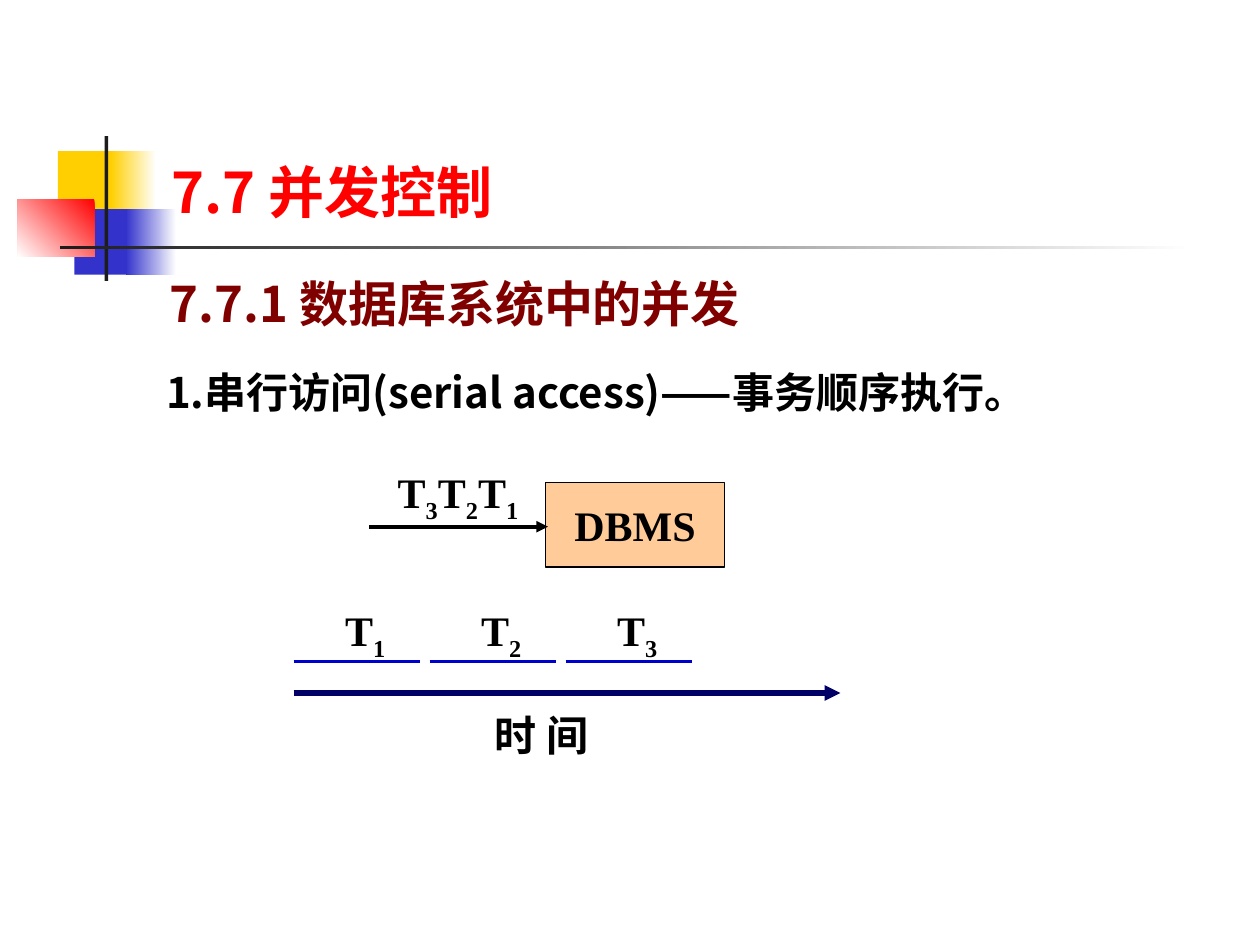
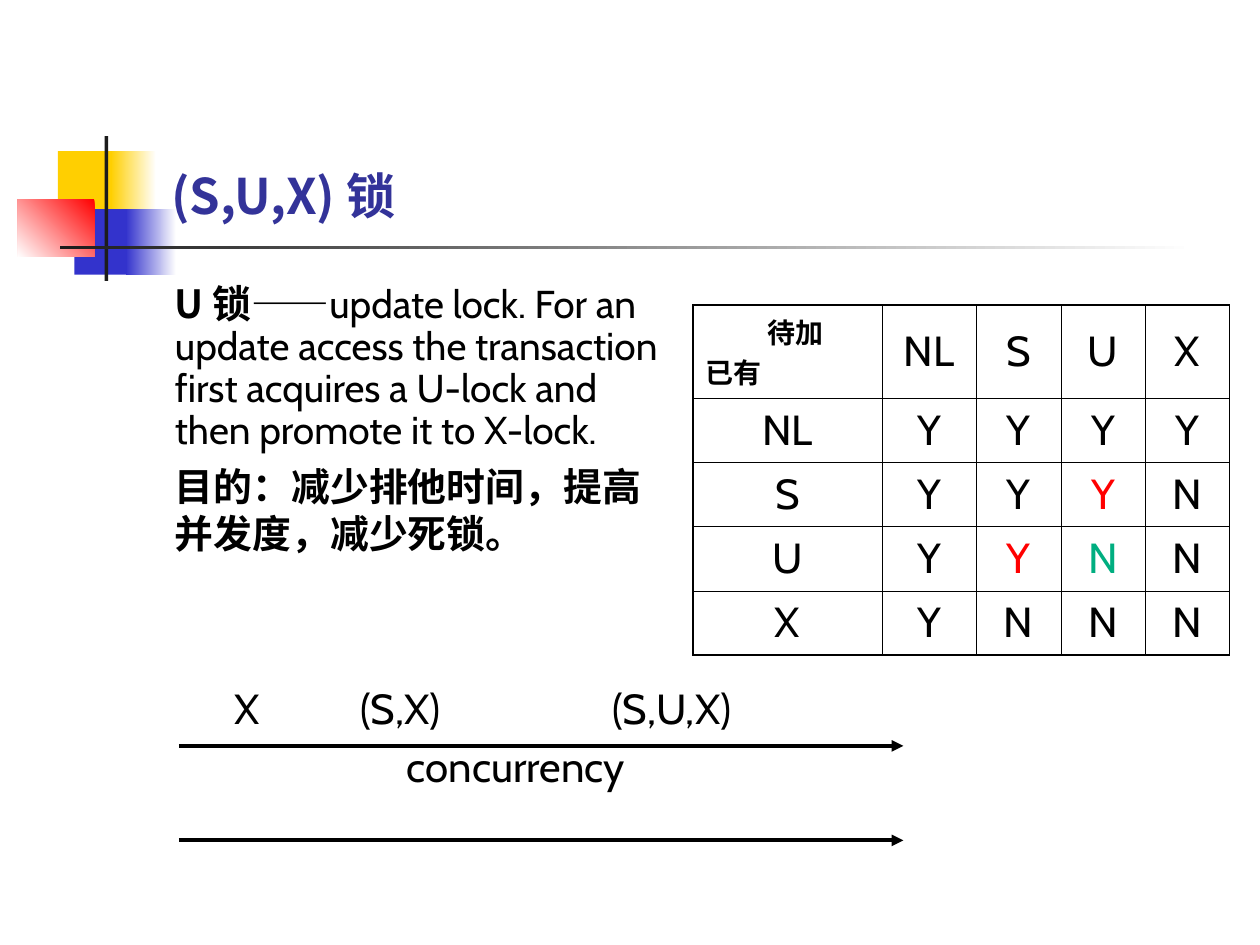
import pptx
import pptx.util
import pptx.dml.color
import pptx.enum.shapes
import pptx.enum.text
import pptx.oxml.ns
from lxml import etree

Inches = pptx.util.Inches
Pt = pptx.util.Pt
ALIGN = pptx.enum.text.PP_ALIGN
ANCHOR = pptx.enum.text.MSO_ANCHOR
qn = pptx.oxml.ns.qn

COLORS = {
    "white": "FFFFFF", "black": "000000", "ink": "1C1C1C",
    "red": "FF0000", "maroon": "800000", "indigo": "333399",
    "yellow": "FFCF01", "blue": "3333CC", "peach": "FFCC99",
    "navy": "000066", "bar": "0000CC", "green": "00AE80",
}
HAN, SERIF, SANS = "Noto Sans CJK SC", "Times New Roman", "Cabin"


def color(name):
    return pptx.dml.color.RGBColor.from_string(COLORS[name])


def style(run, face, size, tint="black", bold=False, sub=False):
    font = run.font
    font.name, font.size, font.bold = face, Pt(size), bold
    font.color.rgb = color(tint)
    props = run._r.get_or_add_rPr()
    etree.SubElement(props, qn("a:ea")).set("typeface", HAN)
    if sub:
        props.set("baseline", "-25000")


def write(par, text, *look, **more):
    par.text = text
    for run in par.runs:
        style(run, *look, **more)


def mark(par, names):
    """Write names such as T3T2T1 with lowered digits."""
    for char in names:
        run = par.add_run()
        run.text = char
        style(run, SERIF, 24, bold=True, sub=char.isdigit())


def text_box(slide, left, top, width, height, wrap=False, anchor=ANCHOR.TOP):
    box = slide.shapes.add_textbox(Inches(left), Inches(top), Inches(width), Inches(height))
    frame = box.text_frame
    frame.word_wrap = wrap
    frame.vertical_anchor = anchor
    return frame


def block(slide, left, top, width, height, tint, fade=None, angle=0):
    """Add a plain rectangle, or one that fades from tint to fade."""
    rect = slide.shapes.add_shape(
        pptx.enum.shapes.MSO_SHAPE.RECTANGLE,
        Inches(left), Inches(top), Inches(width), Inches(height))
    rect.shadow.inherit = False
    rect.line.fill.background()
    if fade:
        rect.fill.gradient()
        rect.fill.gradient_angle = angle
        for stop, name in zip(rect.fill.gradient_stops, (tint, fade)):
            stop.color.rgb = color(name)
    else:
        rect.fill.solid()
        rect.fill.fore_color.rgb = color(tint)
    return rect


def rule(slide, left, right, y, tint="black", width=2.25, arrow=True):
    line = slide.shapes.add_connector(
        pptx.enum.shapes.MSO_CONNECTOR.STRAIGHT,
        Inches(left), Inches(y), Inches(right), Inches(y))
    line.line.color.rgb = color(tint)
    line.line.width = Pt(width)
    if arrow:
        etree.SubElement(line.line._get_or_add_ln(), qn("a:tailEnd")).set("type", "triangle")
    etree.SubElement(line._element.spPr, qn("a:effectLst"))


def border(cell, widths):
    """Draw the left, right, top and bottom edges of a cell."""
    props = cell._tc.get_or_add_tcPr()
    for spot, (side, width) in enumerate(zip("LRTB", widths)):
        edge = etree.Element(qn("a:ln" + side), w=str(Pt(width)))
        fill = etree.SubElement(edge, qn("a:solidFill"))
        etree.SubElement(fill, qn("a:srgbClr")).set("val", COLORS["black"])
        props.insert(spot, edge)


def new_slide(deck, title, size, tint):
    slide = deck.slides.add_slide(deck.slide_layouts[5])
    # Corner squares and title rule
    block(slide, 0.46, 1.2, 0.48, 0.52, "yellow")
    block(slide, 0.88, 1.2, 0.36, 0.52, "white", "yellow", 180)
    block(slide, 0.59, 1.66, 0.46, 0.52, "blue")
    block(slide, 1, 1.66, 0.4, 0.52, "white", "blue", 180)
    block(slide, 0.14, 1.58, 0.61, 0.46, "red", "white", 225)
    block(slide, 0.83, 1.08, 0.03, 1.15, "ink")
    block(slide, 0.48, 1.95, 9, 0.03, "white", "ink", 180)
    # Title
    head = slide.shapes.title
    head.left, head.top = Inches(1.26), Inches(0.23)
    head.width, head.height = Inches(8.52), Inches(1.6)
    head.text_frame.vertical_anchor = ANCHOR.BOTTOM
    par = head.text_frame.paragraphs[0]
    write(par, title, HAN, size, tint, bold=True)
    par.alignment = ALIGN.LEFT
    return slide


def lock_table(slide):
    rows = ["NL S U X", "NL Y Y Y Y", "S Y Y Y N", "U Y Y N N", "X Y N N N"]
    grid = [row.split() for row in rows]
    grid[0].insert(0, "")
    tints = {(2, 3): "red", (3, 2): "red", (3, 3): "green"}
    widths = [1.5, 0.75, 0.67, 0.67, 0.67]
    heights = [0.74] + [0.51] * 4
    table = slide.shapes.add_table(
        5, 5, Inches(5.5), Inches(2.42), Inches(sum(widths)), Inches(sum(heights))).table
    table.first_row = table.horz_banding = False
    for col, width in zip(table.columns, widths):
        col.width = Inches(width)
    for row, height in zip(table.rows, heights):
        row.height = Inches(height)
    for r, row in enumerate(grid):
        for c, text in enumerate(row):
            cell = table.cell(r, c)
            cell.fill.background()
            cell.vertical_anchor = ANCHOR.MIDDLE
            edges = (c == 0, c == 4, r == 0, r == 4)
            border(cell, [1.08 if outer else 0.45 for outer in edges])
            if text:
                par = cell.text_frame.paragraphs[0]
                write(par, text, SANS, 24, tints.get((r, c), "black"))
                par.alignment = ALIGN.CENTER
    # Corner cell: wanted lock above, held lock below
    frame = table.cell(0, 0).text_frame
    wanted, held = frame.paragraphs[0], frame.add_paragraph()
    wanted._p.get_or_add_pPr().set("marL", str(Inches(0.49)))
    write(wanted, "待加", SANS, 16, bold=True)
    write(held, "已有", SANS, 16, bold=True)


def serial_slide(deck):
    slide = new_slide(deck, "7.7 并发控制", 32, "red")
    par = text_box(slide, 1.25, 2.12, 5.75, 0.66, wrap=True).paragraphs[0]
    write(par, "7.7.1 数据库系统中的并发", HAN, 28, "maroon", bold=True)
    par = text_box(slide, 1.22, 2.86, 7.6, 0.5).paragraphs[0]
    write(par, "1.串行访问(serial access)——事务顺序执行。", HAN, 24, bold=True)

    # Queue into the DBMS
    dbms = block(slide, 4.33, 3.83, 1.42, 0.67, "peach")
    dbms.line.color.rgb = color("black")
    dbms.line.width = Pt(0.75)
    dbms.text_frame.word_wrap = False
    par = dbms.text_frame.paragraphs[0]
    write(par, "DBMS", SERIF, 24, bold=True)
    par.alignment = ALIGN.CENTER
    rule(slide, 2.93, 4.35, 4.18)
    par = text_box(slide, 3.01, 3.64, 1.25, 0.58, anchor=ANCHOR.MIDDLE).paragraphs[0]
    mark(par, "T3T2T1")
    par.alignment = ALIGN.CENTER

    # Time line
    rule(slide, 2.33, 6.67, 5.5, "navy", 3)
    par = text_box(slide, 3.83, 5.58, 1.58, 0.5, wrap=True).paragraphs[0]
    write(par, "时 间", SERIF, 24, bold=True)
    for i in range(3):
        left = 2.33 + 1.08 * i
        rule(slide, left, left + 1, 5.25, "bar", arrow=False)
        mark(text_box(slide, left + 0.31, 4.75, 0.52, 0.56).paragraphs[0], f"T{i + 1}")


def lock_slide(deck):
    slide = new_slide(deck, "(S,U,X) 锁", 28, "indigo")
    # Explanation
    frame = text_box(slide, 1.29, 2.21, 4.04, 3.04, wrap=True)
    par = frame.paragraphs[0]
    par.line_spacing = 0.9
    write(par, "U 锁", HAN, 22.2, bold=True)
    run = par.add_run()
    run.text = ("——update lock. For an update access the transaction "
                "first acquires a U-lock and then promote it to X-lock.")
    style(run, SANS, 22.2)
    par = frame.add_paragraph()
    par.space_before = Pt(6)
    write(par, "目的：减少排他时间，提高并发度，减少死锁。", SANS, 22.2, bold=True)

    lock_table(slide)

    # Concurrency scale
    for y in (5.92, 6.67):
        rule(slide, 1.42, 7.17, y)
    par = text_box(slide, 1.76, 5.37, 4.2, 0.5).paragraphs[0]
    tabs = etree.SubElement(par._p.get_or_add_pPr(), qn("a:tabLst"))
    for stop in (1, 2, 3):
        etree.SubElement(tabs, qn("a:tab"), pos=str(Inches(stop)), algn="l")
    write(par, "X\t(S,X)\t\t(S,U,X)", SANS, 24)
    par = text_box(slide, 3.03, 5.83, 2.13, 0.5).paragraphs[0]
    write(par, "concurrency", SANS, 24)
    par.alignment = ALIGN.CENTER


def main():
    deck = pptx.Presentation()
    deck.slide_width, deck.slide_height = Inches(10), Inches(7.5)
    serial_slide(deck)
    lock_slide(deck)
    deck.save("out.pptx")


if __name__ == "__main__":
    main()
